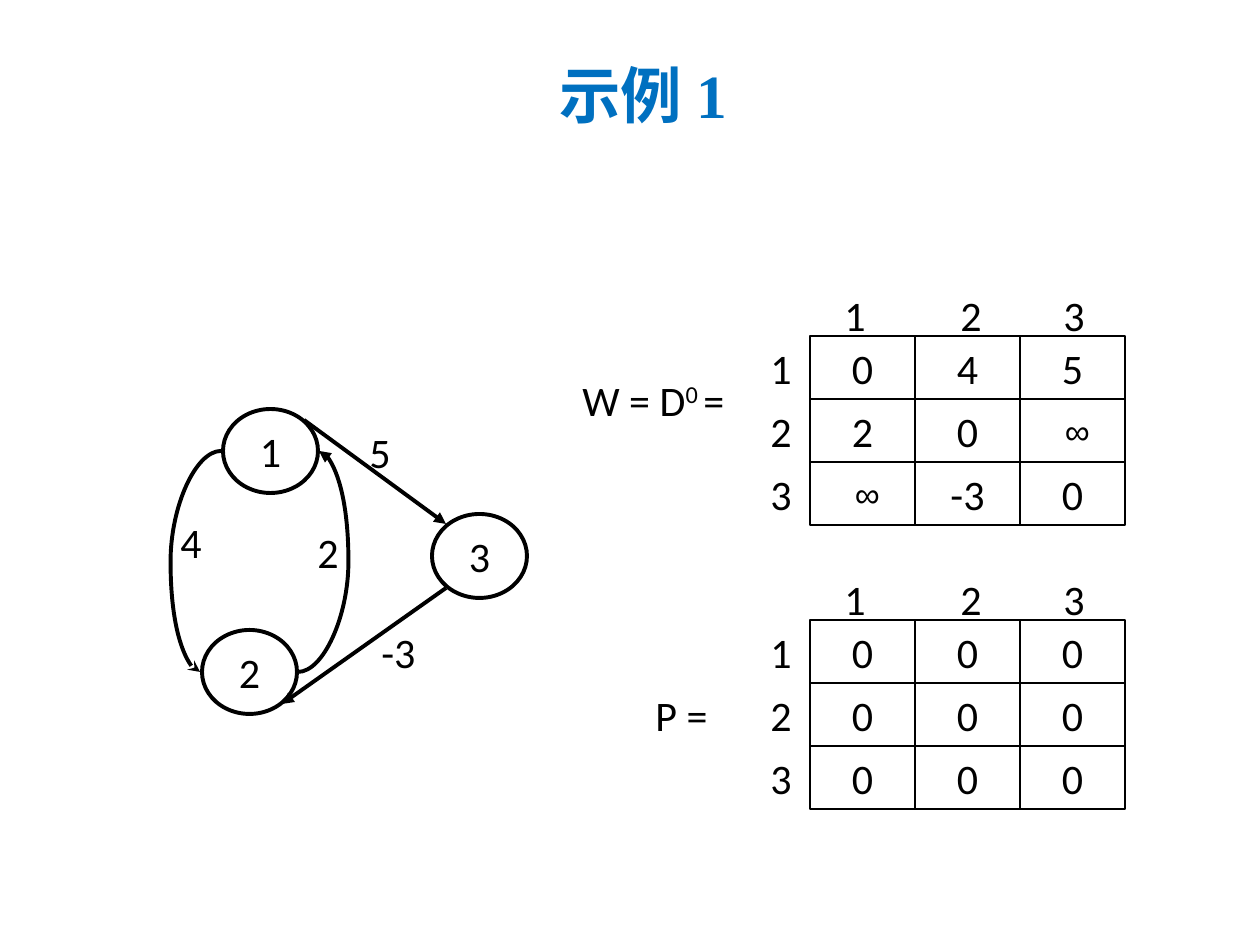
import pptx
import pptx.dml.color
import pptx.enum.shapes
import pptx.enum.text
import pptx.oxml.ns
import pptx.util
from lxml import etree

EMU_PER_PX = 914400 // 126
COLORS = {"ink": "000000", "title": "0070C0"}
CELL_W, CELL_H = 105, 63
LABEL_W, LABEL_H = 47, 63
NODE_W, NODE_H = 95, 84
SHAPE = pptx.enum.shapes.MSO_SHAPE
CONNECTOR = pptx.enum.shapes.MSO_CONNECTOR
ALIGN = pptx.enum.text.PP_ALIGN
ANCHOR = pptx.enum.text.MSO_ANCHOR
AUTO_SIZE = pptx.enum.text.MSO_AUTO_SIZE


def px(*lengths):
    return [pptx.util.Emu(length * EMU_PER_PX) for length in lengths]


def color(name):
    return pptx.dml.color.RGBColor.from_string(COLORS[name])


def style_run(run, size=24, font="Calibri", ink="ink", bold=False):
    run.font.size = pptx.util.Pt(size)
    run.font.name = font
    run.font.bold = bold
    run.font.color.rgb = color(ink)


def set_line(line, width):
    line.color.rgb = color("ink")
    line.width = pptx.util.Pt(width)


def add_label(shapes, text, left, top, width=LABEL_W, height=LABEL_H):
    label = shapes.add_textbox(*px(left, top, width, height))
    frame = label.text_frame
    frame.word_wrap = False
    frame.auto_size = AUTO_SIZE.SHAPE_TO_FIT_TEXT
    frame.text = text
    style_run(frame.paragraphs[0].runs[0])
    return label


def add_outlined(shapes, kind, text, box, line_width):
    outlined = shapes.add_shape(kind, *px(*box))
    outlined.shadow.inherit = False
    outlined.fill.background()
    set_line(outlined.line, line_width)
    frame = outlined.text_frame
    frame.word_wrap = False
    frame.vertical_anchor = ANCHOR.MIDDLE
    frame.text = text
    frame.paragraphs[0].alignment = ALIGN.CENTER
    infinite = "∞" in text
    style_run(frame.paragraphs[0].runs[0], 20 if infinite else 24,
              "Arial" if infinite else "Calibri")


def add_matrix(slide, left, top, rows):
    shapes = slide.shapes.add_group_shape().shapes
    for r, row in enumerate(rows):
        for c, value in enumerate(row):
            box = (left + c * CELL_W, top + r * CELL_H, CELL_W, CELL_H)
            add_outlined(shapes, SHAPE.RECTANGLE, value, box, 1)
    # Column and row numbers
    for number, offset in enumerate((22, 138, 241), 1):
        add_label(shapes, str(number), left + offset, top - 53)
    for r in range(len(rows)):
        add_label(shapes, str(r + 1), left - 52, top + r * CELL_H)


def add_edge(slide, start, end, arrow="triangle", at_start=False, bend=None):
    kind = CONNECTOR.STRAIGHT if bend is None else CONNECTOR.CURVE
    edge = slide.shapes.add_connector(kind, *px(*start, *end))
    set_line(edge.line, 2.25)
    properties = edge._element.spPr
    qn = pptx.oxml.ns.qn
    if bend is not None:
        guides = properties.find(qn("a:prstGeom")).get_or_add_avLst()
        etree.SubElement(guides, qn("a:gd"), name="adj1", fmla=f"val {bend}")
    arrow_end = "a:headEnd" if at_start else "a:tailEnd"
    etree.SubElement(properties.find(qn("a:ln")), qn(arrow_end), type=arrow)
    etree.SubElement(properties, qn("a:effectLst"))


def add_title(slide, text):
    title = slide.shapes.add_textbox(*px(84, 53, 1134, 82))
    frame = title.text_frame
    frame.word_wrap = True
    frame.vertical_anchor = ANCHOR.MIDDLE
    frame.text = text
    frame.paragraphs[0].alignment = ALIGN.CENTER
    style_run(frame.paragraphs[0].runs[0], 35.1, "Times New Roman", "title", True)


def add_weight_formula(slide):
    formula = add_label(slide.shapes, "W = D", 570, 368, 185)
    paragraph = formula.text_frame.paragraphs[0]
    for text, baseline in (("0 ", "30000"), ("=", "0")):
        run = paragraph.add_run()
        run.text = text
        style_run(run)
        run._r.get_or_add_rPr().set("baseline", baseline)


def main():
    presentation = pptx.Presentation()
    presentation.slide_width, presentation.slide_height = px(1260, 945)
    slide = presentation.slides.add_slide(presentation.slide_layouts[6])

    # Weight matrix and predecessor matrix
    add_weight_formula(slide)
    add_matrix(slide, 810, 336, [["0", "4", "5"], ["2", "0", " ∞"], [" ∞", "-3", "0"]])
    add_matrix(slide, 810, 620, [["0"] * 3] * 3)
    add_label(slide.shapes, "P =", 643, 683, 83)

    # Graph nodes
    for name, left, top in (("1", 223, 409), ("2", 202, 630), ("3", 432, 514)):
        add_outlined(slide.shapes, SHAPE.OVAL, name, (left, top, NODE_W, NODE_H), 2.25)

    # Directed edges
    add_edge(slide, (304, 420), (446, 524))
    add_edge(slide, (446, 588), (282, 704))
    add_edge(slide, (200, 672), (221, 451), "stealth", at_start=True, bend=-140600)
    add_edge(slide, (298, 672), (319, 451), bend=240600)

    # Edge weights
    for weight, left, top, width in (("5", 357, 420, LABEL_W), ("-3", 369, 620, 60),
                                     ("2", 305, 520, LABEL_W), ("4", 168, 510, LABEL_W)):
        add_label(slide.shapes, weight, left, top, width)

    add_title(slide, "示例 1 ")
    presentation.save("out.pptx")


if __name__ == "__main__":
    main()
